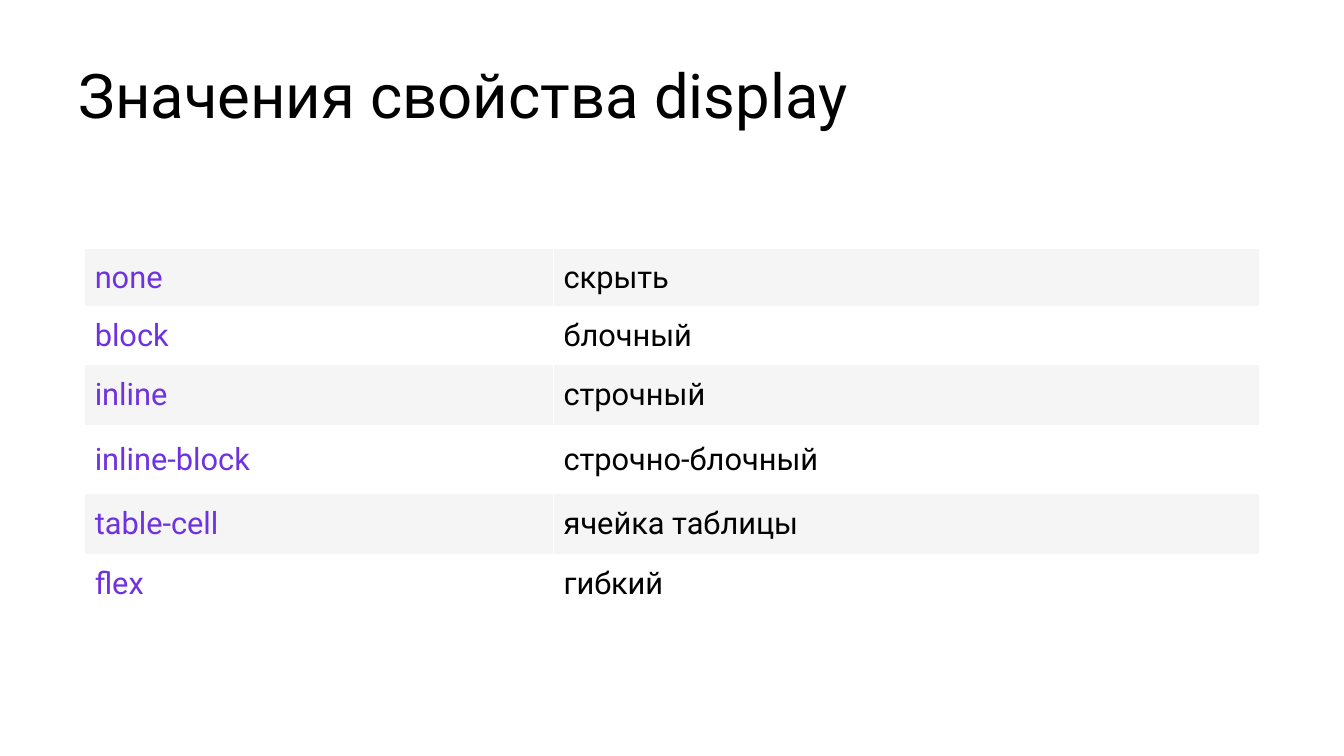
from dataclasses import dataclass

from lxml import etree
from pptx import Presentation
from pptx import util as u
from pptx.dml.color import RGBColor
from pptx.enum import text
from pptx.oxml.ns import qn

# Content
TITLE = "Значения свойства display"
DISPLAY_VALUES = [
    ("none", "скрыть"),
    ("block", "блочный"),
    ("inline", "строчный"),
    ("inline-block", "строчно-блочный"),
    ("table-cell", "ячейка таблицы"),
    ("flex", "гибкий"),
]

# Layout in inches
SLIDE_SIZE = (13.33, 7.5)
TITLE_BOX = (0.68, 0.5, 11.82, 0.86)
TABLE_CORNER = (0.84, 2.46)
COLUMN_WIDTHS = (4.65, 7)
ROW_HEIGHTS = (0.59, 0.57, 0.6, 0.68, 0.6, 0.59)


@dataclass(frozen=True)
class Theme:
    font: str = "Roboto"
    title_size: int = 44
    cell_size: int = 22
    ink: str = "000000"
    accent: str = "6E32E0"
    band: str = "F5F5F5"
    paper: str = "FFFFFF"
    thin: int = 1
    thick: int = 3


THEME = Theme()


def add_run(para, words, size, color):
    span = para.add_run()
    span.text = words
    span.font.name = THEME.font
    span.font.size = u.Pt(size)
    span.font.color.rgb = RGBColor.from_string(color)


def add_borders(cell, bottom):
    properties = cell._tc.get_or_add_tcPr()
    widths = {"lnL": THEME.thin, "lnR": THEME.thin, "lnT": THEME.thin, "lnB": bottom}
    for side, width in widths.items():
        line = etree.SubElement(properties, qn(f"a:{side}"), w=str(u.Pt(width)))
        fill = etree.SubElement(line, qn("a:solidFill"))
        etree.SubElement(fill, qn("a:srgbClr"), val=THEME.paper)


def add_title(page):
    box = page.shapes.title
    box.left, box.top, box.width, box.height = map(u.Inches, TITLE_BOX)
    frame = box.text_frame
    frame.word_wrap = True
    frame.auto_size = text.MSO_AUTO_SIZE.NONE
    frame.vertical_anchor = text.MSO_ANCHOR.BOTTOM
    para = frame.paragraphs[0]
    para.alignment = text.PP_ALIGN.LEFT
    para.line_spacing = 0.9
    add_run(para, TITLE, THEME.title_size, THEME.ink)


def add_values_table(page):
    size = (sum(COLUMN_WIDTHS), sum(ROW_HEIGHTS))
    table = page.shapes.add_table(
        len(DISPLAY_VALUES), len(COLUMN_WIDTHS), *map(u.Inches, TABLE_CORNER + size)
    ).table
    for column, width in zip(table.columns, COLUMN_WIDTHS):
        column.width = u.Inches(width)
    for row, height in zip(table.rows, ROW_HEIGHTS):
        row.height = u.Inches(height)

    # Banded rows: accent keyword, then its meaning
    for r, entry in enumerate(DISPLAY_VALUES):
        for c, (words, color) in enumerate(zip(entry, (THEME.accent, THEME.ink))):
            cell = table.cell(r, c)
            cell.vertical_anchor = text.MSO_ANCHOR.MIDDLE
            add_borders(cell, THEME.thin if r else THEME.thick)
            cell.fill.solid()
            cell.fill.fore_color.rgb = RGBColor.from_string(
                THEME.paper if r % 2 else THEME.band
            )
            add_run(cell.text_frame.paragraphs[0], words, THEME.cell_size, color)


def main():
    deck = Presentation()
    deck.slide_width, deck.slide_height = map(u.Inches, SLIDE_SIZE)
    page = deck.slides.add_slide(deck.slide_layouts.get_by_name("Title Only"))
    add_values_table(page)
    add_title(page)
    deck.save("out.pptx")


if __name__ == "__main__":
    main()
